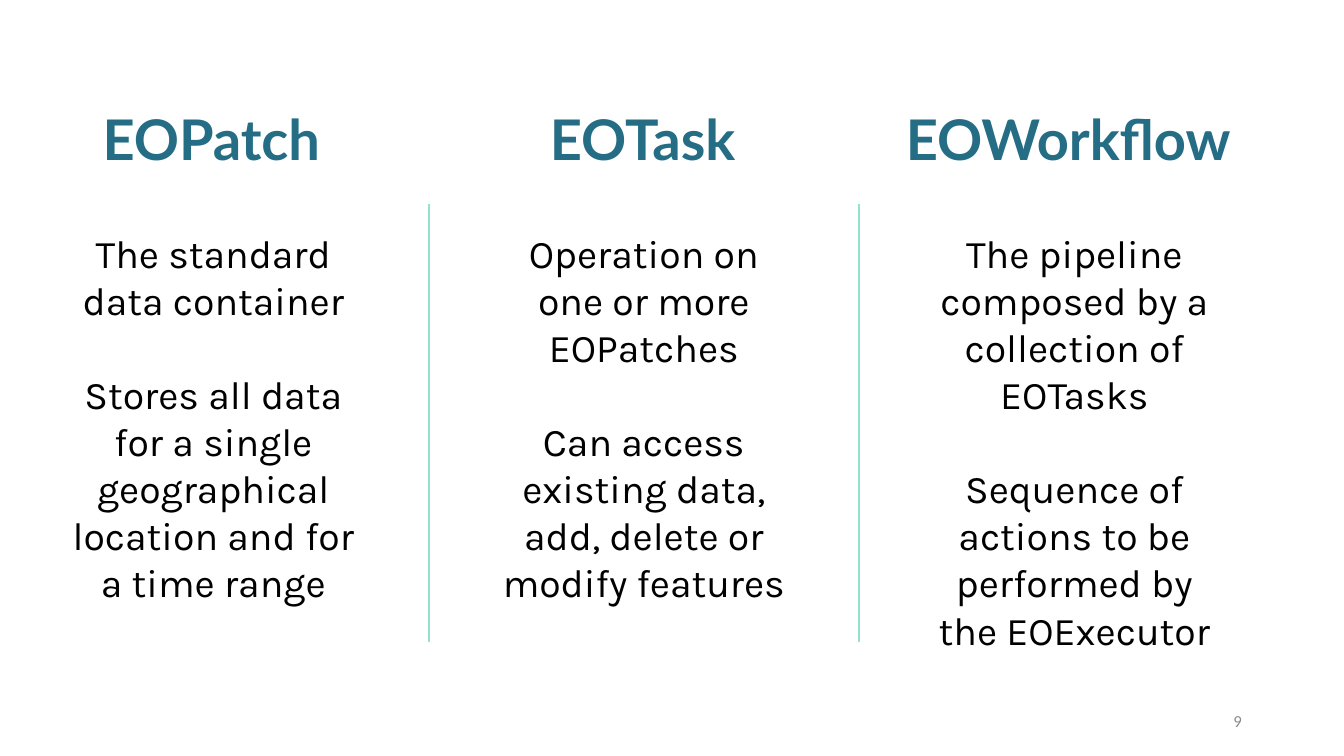
from lxml import etree
from pptx import Presentation
from pptx import util as u
from pptx.dml.color import RGBColor
from pptx.enum import shapes, text
from pptx.oxml import ns

TEAL = RGBColor(0x25, 0x6D, 0x85)
MINT = RGBColor(0x8F, 0xE3, 0xCF)
BLACK = RGBColor(0, 0, 0)
GREY = RGBColor(0x8C, 0x8C, 0x8C)

COLUMN_LEFT, COLUMN_PITCH, COLUMN_WIDTH = 1.4, 10.85, 7.95
DIVIDER_LEFT = 10.8

columns = [
    ("EOPatch", 2.34, 6.15, 9.83, [
        "The standard data container",
        "Stores all data for a single geographical location and for a time range"]),
    ("EOTask", 13.61, 5.49, 9.83, [
        "Operation on one or more EOPatches",
        "Can access existing data, add, delete or modify features"]),
    ("EOWorkflow", 22.58, 8.99, 11.02, [
        "The pipeline composed by a collection of EOTasks",
        "Sequence of actions to be performed by the EOExecutor"]),
]


def add_text_box(left, top, width, height, wrap=True):
    box = page.shapes.add_textbox(u.Cm(left), u.Cm(top), u.Cm(width), u.Cm(height))
    box.text_frame.word_wrap = wrap
    return box.text_frame


def add_span(para, words, font, size, color, bold=False):
    span = para.add_run()
    span.text = words
    span.font.name = font
    span.font.size = u.Pt(size)
    span.font.color.rgb = color
    span.font.bold = bold


deck = Presentation()
deck.slide_width = u.Cm(33.87)
deck.slide_height = u.Cm(19.05)
page = deck.slides.add_slide(deck.slide_layouts[6])

for index, (name, name_left, name_width, height, statements) in enumerate(columns):
    heading = add_text_box(name_left, 2.51, name_width, 1.96, wrap=False)
    add_span(heading.paragraphs[0], name, "Lato", 40, TEAL, bold=True)

    left = COLUMN_LEFT + index * COLUMN_PITCH
    body = add_text_box(left, 5.66, COLUMN_WIDTH, height)
    for number, statement in enumerate(statements):
        para = body.add_paragraph() if number else body.paragraphs[0]
        para.alignment = text.PP_ALIGN.CENTER
        if number:
            para.space_before = u.Cm(1.18)
        add_span(para, statement, "Karla", 28, BLACK)

for index in range(len(columns) - 1):
    x = u.Cm(DIVIDER_LEFT + index * COLUMN_PITCH)
    divider = page.shapes.add_connector(
        shapes.MSO_CONNECTOR.STRAIGHT, x, u.Cm(5.13), x, u.Cm(16.18))
    divider.line.color.rgb = MINT
    divider.line.width = u.Pt(1.5)
    etree.SubElement(divider._element.spPr, ns.qn("a:effectLst"))

footer = add_text_box(23.93, 17.65, 7.62, 1.02)
footer.vertical_anchor = text.MSO_ANCHOR.MIDDLE
footer.paragraphs[0].alignment = text.PP_ALIGN.RIGHT
add_span(footer.paragraphs[0], "9", "Calibri", 12, GREY)

deck.save("out.pptx")
